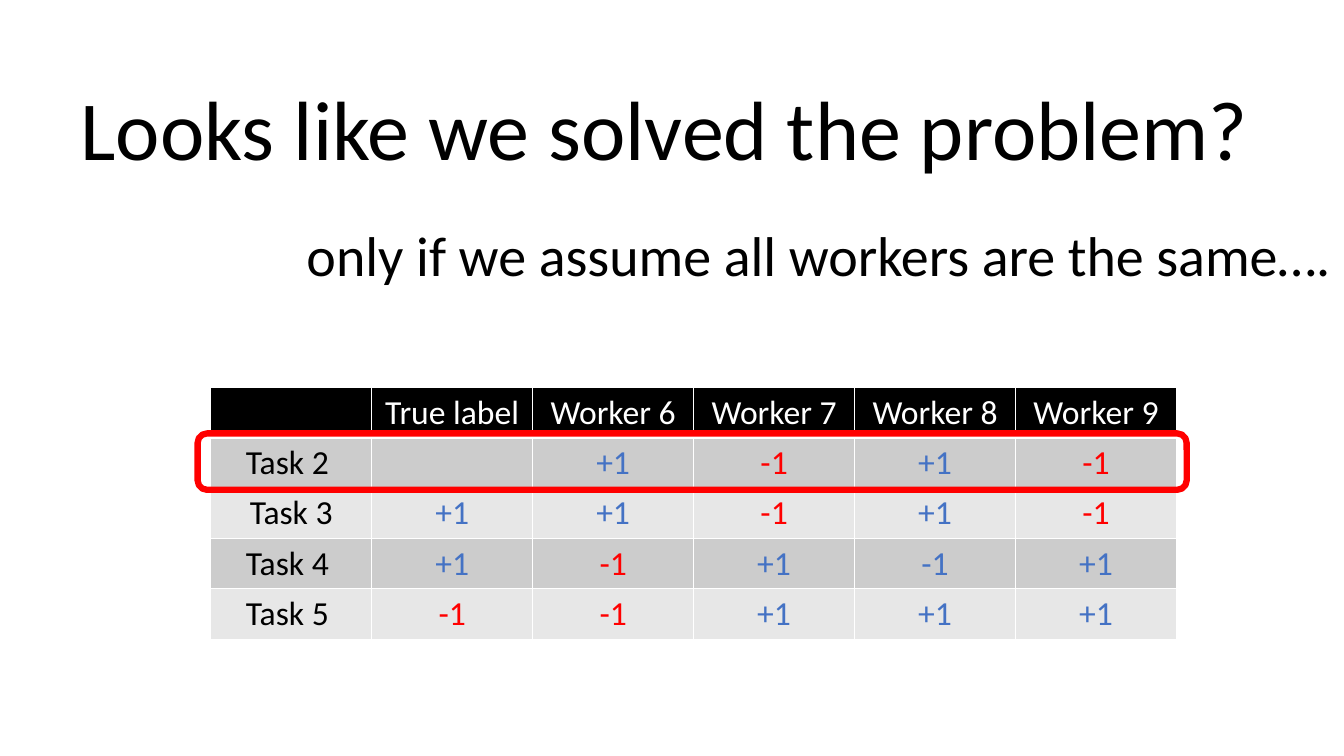
"""Build the slide asking whether majority labelling solved the problem."""
from lxml.etree import SubElement
from pptx import Presentation
from pptx.dml.color import RGBColor
from pptx.enum.shapes import MSO_SHAPE as Shape
from pptx.enum.text import MSO_ANCHOR as Anchor, PP_ALIGN as Align
from pptx.oxml.ns import qn
from pptx.util import Inches, Pt

BLACK = RGBColor(0x00, 0x00, 0x00)
WHITE = RGBColor(0xFF, 0xFF, 0xFF)
RED = RGBColor(0xFF, 0x00, 0x00)
BLUE = RGBColor(0x44, 0x72, 0xC4)
DARK_BAND = RGBColor(0xCC, 0xCC, 0xCC)
LIGHT_BAND = RGBColor(0xE7, 0xE7, 0xE7)


def write(paragraph, text, size, color):
    paragraph.alignment = Align.CENTER
    run = paragraph.add_run()
    run.text = text
    run.font.name = "Calibri"
    run.font.size = Pt(size)
    run.font.bold = False
    run.font.color.rgb = color


def add_border(cell, side, width):
    line = SubElement(cell._tc.get_or_add_tcPr(), qn(f"a:{side}"), w=str(Pt(width)))
    SubElement(SubElement(line, qn("a:solidFill")), qn("a:srgbClr"), val=str(WHITE))


prs = Presentation()
prs.slide_width, prs.slide_height = Inches(13.33), Inches(7.5)
slide = prs.slides.add_slide(prs.slide_layouts[6])

headlines = [
    (0.16, 0.66, "Looks like we solved the problem?", 60),
    (1.69, 1.75, "only if we assume all workers are the same….", 40),
]
for left, top, text, size in headlines:
    headline = slide.shapes.add_textbox(Inches(left), Inches(top), Inches(12.86), Inches(1.16))
    frame = headline.text_frame
    frame.word_wrap = True
    frame.vertical_anchor = Anchor.BOTTOM
    frame.paragraphs[0].line_spacing = 0.9
    write(frame.paragraphs[0], text, size, BLACK)

labels = [
    ["", "True label", "Worker 6", "Worker 7", "Worker 8", "Worker 9"],
    ["Task 2 ", "", "+1", "-1", "+1", "-1"],
    ["Task 3", "+1", "+1", "-1", "+1", "-1"],
    ["Task 4 ", "+1", "-1", "+1", "-1", "+1"],
    ["Task 5 ", "-1", "-1", "+1", "+1", "+1"],
]
blue_negative = (3, 4)
label_table = slide.shapes.add_table(
    5, 6, Inches(2.09), Inches(3.84), Inches(9.58), Inches(2.5)).table

for row, row_labels in enumerate(labels):
    for col, label in enumerate(row_labels):
        cell = label_table.cell(row, col)
        for side in ("lnL", "lnR", "lnT", "lnB"):
            header_edge = (row, side) in ((0, "lnB"), (1, "lnT"))
            add_border(cell, side, 3 if header_edge else 1)
        cell.fill.solid()
        if row == 0:
            cell.fill.fore_color.rgb, color = BLACK, WHITE
        else:
            cell.fill.fore_color.rgb = DARK_BAND if row % 2 else LIGHT_BAND
            if col == 0:
                color = BLACK
            else:
                color = RED if label == "-1" and (row, col) != blue_negative else BLUE
        if label:
            write(cell.text_frame.paragraphs[0], label, 24, color)

task_highlight = slide.shapes.add_shape(
    Shape.ROUNDED_RECTANGLE, Inches(1.96), Inches(4.3), Inches(9.81), Inches(0.56))
task_highlight.shadow.inherit = False
task_highlight.fill.background()
task_highlight.line.color.rgb = RED
task_highlight.line.width = Pt(4.5)

prs.save("out.pptx")
